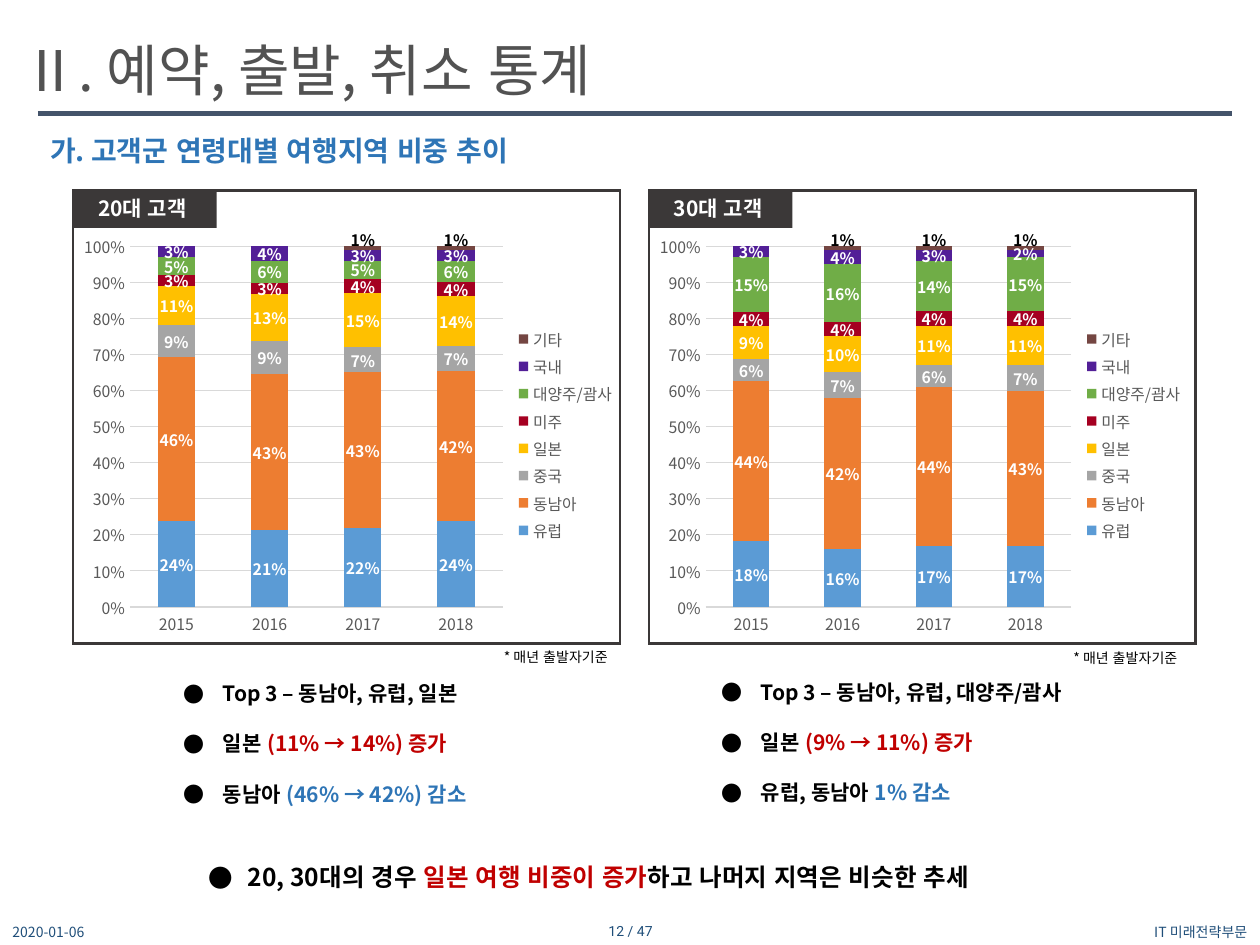
from dataclasses import dataclass

from lxml.etree import Element, SubElement
from pptx import Presentation
from pptx.chart.data import CategoryChartData
from pptx.dml.color import RGBColor
from pptx.enum.chart import XL_CHART_TYPE as ChartType, XL_LABEL_POSITION as LabelPosition
from pptx.enum.chart import XL_LEGEND_POSITION as LegendPosition, XL_TICK_MARK as TickMark
from pptx.enum.lang import MSO_LANGUAGE_ID as Language
from pptx.enum.shapes import MSO_CONNECTOR as Connector, MSO_SHAPE as ShapeKind
from pptx.enum.text import MSO_ANCHOR as Anchor, MSO_AUTO_SIZE as AutoSize, PP_ALIGN as Align
from pptx.oxml.ns import qn
from pptx.util import Inches, Pt

FONT = "Noto Sans CJK KR"
COLORS = {
    "black": "000000", "white": "FFFFFF", "title": "525252", "rule": "44546A",
    "frame": "3B3838", "footer": "1F4E79", "blue": "2E75B6", "red": "C00000",
    "axis": "595959", "grid": "D9D9D9",
}
REGIONS = {
    "유럽": "5B9BD5", "동남아": "ED7D31", "중국": "A5A5A5", "일본": "FFC000",
    "미주": "A50021", "대양주/괌사": "70AD47", "국내": "521F97", "기타": "744642",
}
YEARS = ["2015", "2016", "2017", "2018"]
PANEL_TOP = 1.51

Run = tuple[str, str]
Box = tuple[float, float, float, float]


@dataclass
class Panel:
    left: float
    heading: str
    chart_width: float
    note_box: Box
    bullet_box: Box
    percents: list[list[int]]  # one row per region, one column per year
    bullets: list[list[Run]]


PANELS = [
    Panel(0.58, "20대 고객", 4.4, (3.9, 5.1, 1.07, 0.24), (1.36, 5.15, 3.18, 1.25),
          [[24, 21, 22, 24], [46, 43, 43, 42], [9, 9, 7, 7], [11, 13, 15, 14],
           [3, 3, 4, 4], [5, 6, 5, 6], [3, 4, 3, 3], [0, 0, 1, 1]],
          [[("Top 3 – 동남아, 유럽, 일본", "black")],
           [("일본 ", "black"), ("(11% → 14%) 증가", "red")],
           [("동남아 ", "black"), ("(46% → 42%) 감소", "blue")]]),
    Panel(5.15, "30대 고객", 4.34, (8.42, 5.11, 1.07, 0.24), (5.63, 5.14, 3.86, 1.31),
          [[18, 16, 17, 17], [44, 42, 44, 43], [6, 7, 6, 7], [9, 10, 11, 11],
           [4, 4, 4, 4], [15, 16, 14, 15], [3, 4, 3, 2], [0, 1, 1, 1]],
          [[("Top 3 – 동남아, 유럽, 대양주/괌사", "black")],
           [("일본 ", "black"), ("(9% → 11%) 증가", "red")],
           [("유럽, 동남아 ", "black"), ("1% 감소", "blue")]]),
]


def rgb(name: str) -> RGBColor:
    return RGBColor.from_string(COLORS[name])


def inches(box: Box) -> list[int]:
    return [Inches(length) for length in box]


def style_font(font, size: float, color: str, bold: bool = False, name: str = FONT) -> None:
    """Set the font for Latin and Korean characters alike."""
    font.size, font.bold, font.name = Pt(size), bold, name
    font.language_id = Language.KOREAN
    font.color.rgb = rgb(color)
    SubElement(font._rPr, qn("a:ea"), typeface=name)


def add_text(slide, box: Box, text: str, size: float, color: str, bold: bool = False,
             align: Align = Align.LEFT, anchor: Anchor = Anchor.TOP,
             wrap: bool = True, font_name: str = FONT) -> None:
    frame = slide.shapes.add_textbox(*inches(box)).text_frame
    frame.word_wrap, frame.vertical_anchor = wrap, anchor
    paragraph = frame.paragraphs[0]
    paragraph.text, paragraph.alignment = text, align
    style_font(paragraph.font, size, color, bold, font_name)


def add_bullets(slide, box: Box, bullets: list[list[Run]], size: float) -> None:
    frame = slide.shapes.add_textbox(*inches(box)).text_frame
    frame.word_wrap = True
    for index, runs in enumerate(bullets):
        paragraph = frame.add_paragraph() if index else frame.paragraphs[0]
        paragraph.line_spacing = 2.0
        properties = paragraph._p.get_or_add_pPr()
        properties.set("marL", str(Inches(0.31)))
        properties.set("indent", str(-Inches(0.31)))
        SubElement(properties, qn("a:buFont"), typeface=FONT)
        SubElement(properties, qn("a:buChar"), char="●")
        style_font(paragraph.font, size, "black", bold=True)
        for text, color in runs:
            run = paragraph.add_run()
            run.text = text
            run.font.color.rgb = rgb(color)


def add_rectangle(slide, box: Box, filled: bool) -> None:
    """Draw a heading tab when filled, otherwise an outlined frame."""
    shape = slide.shapes.add_shape(ShapeKind.RECTANGLE, *inches(box))
    shape.shadow.inherit = False
    if filled:
        shape.fill.solid()
        shape.fill.fore_color.rgb = rgb("frame")
        shape.line.fill.background()
    else:
        shape.fill.background()
        shape.line.color.rgb = rgb("frame")
        shape.line.width = Pt(1.5)
        SubElement(shape.line._get_or_add_ln(), qn("a:miter"), lim="800000")


def raise_label(label, offset: float) -> None:
    """Lift a point's label by a fraction of the chart height."""
    style_font(label.font, 9, "black", bold=True)
    label.position = LabelPosition.CENTER
    layout = Element(qn("c:layout"))
    manual = SubElement(layout, qn("c:manualLayout"))
    SubElement(manual, qn("c:x"), val="0")
    SubElement(manual, qn("c:y"), val=str(-offset))
    label._get_or_add_dLbl().insert(1, layout)


def add_region_chart(slide, box: Box, percents: list[list[int]]) -> None:
    data = CategoryChartData(number_format="0%")
    data.categories = YEARS
    for region, row in zip(REGIONS, percents):
        data.add_series(region, [percent / 100 for percent in row])
    chart = slide.shapes.add_chart(ChartType.COLUMN_STACKED_100, *inches(box), data).chart
    style_font(chart.font, 10, "black")
    chart.has_title = False
    chart.has_legend = True
    chart.legend.position = LegendPosition.RIGHT
    chart.legend.include_in_layout = False
    style_font(chart.legend.font, 9, "axis")

    for axis in (chart.category_axis, chart.value_axis):
        axis.major_tick_mark = axis.minor_tick_mark = TickMark.NONE
        style_font(axis.tick_labels.font, 9, "axis")
    value_axis = chart.value_axis
    value_axis.tick_labels.number_format = "0%"
    value_axis.tick_labels.number_format_is_linked = False
    value_axis.format.line.fill.background()
    for line in (chart.category_axis.format.line, value_axis.major_gridlines.format.line):
        line.color.rgb = rgb("grid")
        line.width = Pt(0.75)

    plot = chart.plots[0]
    plot.vary_by_categories = False
    plot.gap_width, plot.overlap = 150, 100
    for series, color in zip(plot.series, REGIONS.values()):
        series.format.fill.solid()
        series.format.fill.fore_color.rgb = RGBColor.from_string(color)
        labels = series.data_labels
        labels.show_value = True
        labels.number_format, labels.number_format_is_linked = "0%;;", False
        labels.position = LabelPosition.CENTER
        style_font(labels.font, 9, "black" if series.name == "기타" else "white", bold=True)
    others = plot.series[-1]
    for index, value in enumerate(others.values):
        if value:
            raise_label(others.points[index].data_label, 0.02)


def add_panel(slide, panel: Panel) -> None:
    left = panel.left
    add_rectangle(slide, (left, PANEL_TOP, 4.34, 3.6), filled=False)
    add_rectangle(slide, (left, PANEL_TOP, 1.14, 0.3), filled=True)
    add_text(slide, (left + 0.1, 1.5, 1.04, 0.3), panel.heading, 12, "white", bold=True)
    add_region_chart(slide, (left, 1.8, panel.chart_width, 3.3), panel.percents)
    add_text(slide, panel.note_box, "* 매년 출발자기준", 8, "black", wrap=False)
    add_bullets(slide, panel.bullet_box, panel.bullets, 12)


def add_title(slide, text: str) -> None:
    title = slide.shapes.title
    title.left, title.top, title.width, title.height = inches((0.08, 0.23, 6.38, 0.64))
    frame = title.text_frame
    frame.auto_size, frame.vertical_anchor = AutoSize.NONE, Anchor.TOP
    paragraph = frame.paragraphs[0]
    paragraph.text, paragraph.alignment = text, Align.LEFT
    style_font(paragraph.font, 32, "title")


def add_rule(slide) -> None:
    rule = slide.shapes.add_connector(Connector.STRAIGHT, *inches((0.3, 0.9, 9.78, 0.9)))
    rule.line.color.rgb = rgb("rule")
    rule.line.width = Pt(3)
    SubElement(rule._element.spPr, qn("a:effectLst"))


def main() -> None:
    presentation = Presentation()
    presentation.slide_width, presentation.slide_height = Inches(10), Inches(7.5)
    slide = presentation.slides.add_slide(presentation.slide_layouts[5])
    add_title(slide, "Ⅱ. 예약, 출발, 취소 통계")
    add_rule(slide)
    add_text(slide, (0.3, 1.01, 5.34, 0.37), "가. 고객군 연령대별 여행지역 비중 추이",
             16, "blue", bold=True)
    for panel in PANELS:
        add_panel(slide, panel)
    add_bullets(slide, (1.56, 6.56, 7.18, 0.57),
                [[("20, 30대의 경우 ", "black"), ("일본 여행 비중이 증가", "red"),
                  ("하고 나머지 지역은 비슷한 추세", "black")]], 14)
    add_text(slide, (0, 7.3, 2.25, 0.2), "2020-01-06", 8, "footer", anchor=Anchor.MIDDLE)
    add_text(slide, (3.88, 7.29, 2.25, 0.2), "12 / 47", 8, "footer", align=Align.CENTER,
             anchor=Anchor.MIDDLE, font_name="Roboto")
    add_text(slide, (8.1, 7.29, 1.9, 0.21), "IT 미래전략부문", 8, "footer",
             align=Align.RIGHT, anchor=Anchor.MIDDLE)
    presentation.save("out.pptx")


if __name__ == "__main__":
    main()
